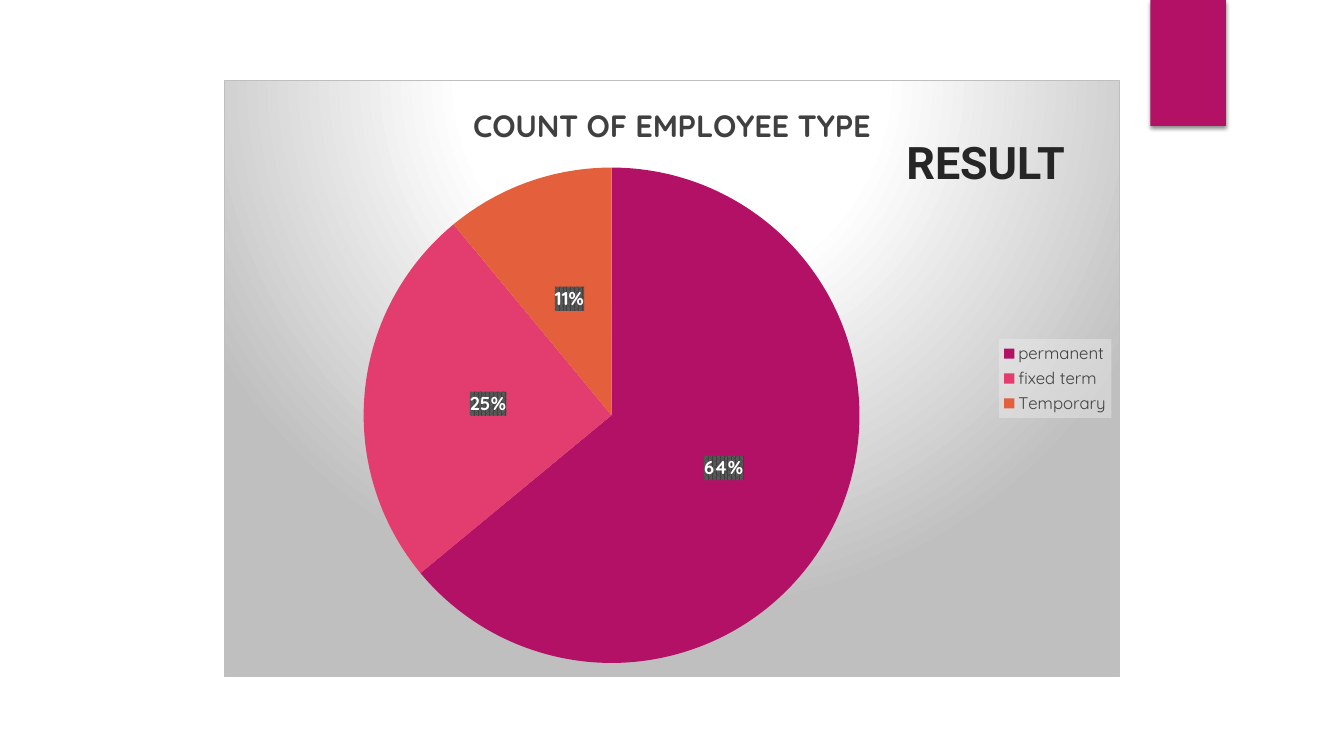
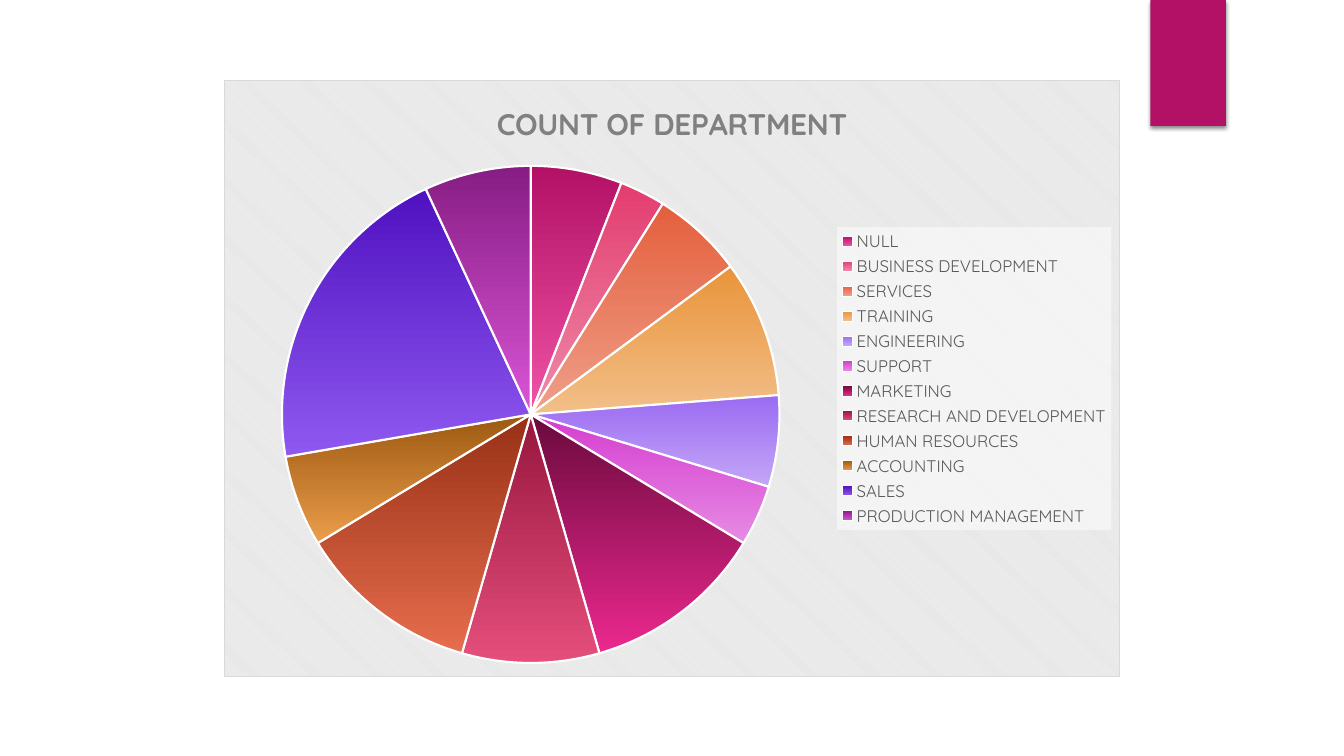
from lxml import etree
from pptx import Presentation
from pptx.chart.data import CategoryChartData
from pptx.dml.color import RGBColor
from pptx.enum.chart import XL_CHART_TYPE, XL_LABEL_POSITION, XL_LEGEND_POSITION
from pptx.enum.shapes import MSO_SHAPE
from pptx.enum.text import MSO_ANCHOR, MSO_AUTO_SIZE, PP_ALIGN
from pptx.oxml.ns import nsdecls, qn
from pptx.util import Inches, Pt

PIE = XL_CHART_TYPE.PIE
CENTER = XL_LABEL_POSITION.CENTER
RIGHT = XL_LEGEND_POSITION.RIGHT
RECTANGLE = MSO_SHAPE.RECTANGLE
TOP = MSO_ANCHOR.TOP
FIT_SHAPE = MSO_AUTO_SIZE.SHAPE_TO_FIT_TEXT
LEFT = PP_ALIGN.LEFT

# Shared style
CHART_FONT, TITLE_FONT = "Quicksand", "Roboto"
MAGENTA = RGBColor(0xB3, 0x11, 0x66)
ROSE = RGBColor(0xE3, 0x3D, 0x6F)
ORANGE = RGBColor(0xE4, 0x5F, 0x3C)
WHITE = RGBColor(0xFF, 0xFF, 0xFF)
BLACK = RGBColor(0x00, 0x00, 0x00)
INK = RGBColor(0x26, 0x26, 0x26)
CHARCOAL = RGBColor(0x40, 0x40, 0x40)
DARK_GRAY = RGBColor(0x59, 0x59, 0x59)
MID_GRAY = RGBColor(0x80, 0x80, 0x80)
SILVER = RGBColor(0xBF, 0xBF, 0xBF)
LIGHT_GRAY = RGBColor(0xD9, 0xD9, 0xD9)
PALE_GRAY = RGBColor(0xE6, 0xE6, 0xE6)
MIST = RGBColor(0xF2, 0xF2, 0xF2)
CHART_BOX = (Inches(2.22), Inches(0.79), Inches(8.89), Inches(5.93))

# Content: (category, count, slice colour or top and bottom colours)
EMPLOYEE_TYPES = [
    ("permanent", 64, MAGENTA),
    ("fixed term", 25, ROSE),
    ("Temporary", 11, ORANGE),
]
DEPARTMENTS = [
    ("NULL", 6, (MAGENTA, RGBColor(0xEF, 0x53, 0xA5))),
    ("BUSINESS DEVELOPMENT", 3, (ROSE, RGBColor(0xEE, 0x8B, 0xA9))),
    ("SERVICES", 6, (ORANGE, RGBColor(0xEF, 0x9F, 0x8A))),
    ("TRAINING", 9, (RGBColor(0xE9, 0x94, 0x3A), RGBColor(0xF2, 0xBF, 0x89))),
    ("ENGINEERING", 6, (RGBColor(0x9B, 0x6B, 0xF2), RGBColor(0xC3, 0xA6, 0xF7))),
    ("SUPPORT", 4, (RGBColor(0xD5, 0x3D, 0xD0), RGBColor(0xE6, 0x8B, 0xE3))),
    ("MARKETING", 12, (RGBColor(0x6B, 0x0A, 0x3D), RGBColor(0xEB, 0x28, 0x8E))),
    ("RESEARCH AND DEVELOPMENT", 9,
     (RGBColor(0x97, 0x16, 0x3D), RGBColor(0xE5, 0x4E, 0x7C))),
    ("HUMAN RESOURCES", 12, (RGBColor(0x98, 0x30, 0x15), RGBColor(0xE6, 0x6D, 0x4D))),
    ("ACCOUNTING", 6, (RGBColor(0x9D, 0x59, 0x12), RGBColor(0xEB, 0x9D, 0x4A))),
    ("SALES", 21, (RGBColor(0x4F, 0x11, 0xC0), RGBColor(0x8F, 0x59, 0xF0))),
    ("PRODUCTION MANAGEMENT", 7,
     (RGBColor(0x87, 0x1D, 0x84), RGBColor(0xDA, 0x55, 0xD6))),
]


# Fill markup for chart parts
def solid_fill(color, opacity=100):
    return (f'<a:solidFill><a:srgbClr val="{color}">'
            f'<a:alpha val="{opacity * 1000}"/></a:srgbClr></a:solidFill>')


def pattern_fill(preset, front, back):
    return (f'<a:pattFill prst="{preset}"><a:fgClr><a:srgbClr val="{front}"/></a:fgClr>'
            f'<a:bgClr><a:srgbClr val="{back}"/></a:bgClr></a:pattFill>')


def spotlight_fill(stops):
    marks = "".join(f'<a:gs pos="{position * 1000}"><a:srgbClr val="{color}"/></a:gs>'
                    for position, color in stops)
    return (f'<a:gradFill><a:gsLst>{marks}</a:gsLst><a:path path="circle">'
            '<a:fillToRect l="50000" t="-80000" r="50000" b="180000"/>'
            '</a:path></a:gradFill>')


def border_line(color):
    return f'<a:ln w="{Pt(0.75)}">{solid_fill(color)}</a:ln>'


def paint(element, markup):
    """Give a chart part its fill and border, just before its text properties."""
    properties = etree.fromstring(f'<c:spPr {nsdecls("c", "a")}>{markup}</c:spPr>')
    element.find(qn("c:txPr")).addprevious(properties)


def set_font(font, size, color, bold=False, name=CHART_FONT):
    font.name, font.size, font.bold = name, Pt(size), bold
    font.color.rgb = color


def add_band(presentation, slide):
    """Draw the corner band and hand it to the slide master."""
    band = slide.shapes.add_shape(RECTANGLE, Inches(11.41), 0, Inches(0.75), Inches(1.25))
    band.fill.solid()
    band.fill.fore_color.rgb = MAGENTA
    band.line.fill.background()
    band.shadow.inherit = False
    effects = band._element.spPr.find(qn("a:effectLst"))
    effects.append(etree.fromstring(
        f'<a:outerShdw {nsdecls("a")} blurRad="{Pt(3)}" dist="{Pt(2)}" dir="5400000" '
        f'rotWithShape="0"><a:srgbClr val="{BLACK}"><a:alpha val="45000"/>'
        '</a:srgbClr></a:outerShdw>'))
    presentation.slide_master.shapes._spTree.append(band._element)


def add_pie(slide, title, slices, title_size, title_color, legend_color,
            background, legend_fill):
    data = CategoryChartData()
    data.categories = [name for name, _, _ in slices]
    data.add_series(title, [count for _, count, _ in slices])
    chart = slide.shapes.add_chart(PIE, *CHART_BOX, data).chart
    set_font(chart.font, 10, BLACK)
    paint(chart._chartSpace, background)

    # Title and legend
    chart.has_title = True
    paragraph = chart.chart_title.text_frame.paragraphs[0]
    paragraph.text = title
    set_font(paragraph.font, title_size, title_color, bold=True)
    chart.chart_title.include_in_layout = False
    chart.has_legend = True
    chart.legend.position = RIGHT
    chart.legend.include_in_layout = False
    set_font(chart.legend.font, 12, legend_color)
    paint(chart.legend._element, legend_fill)

    # Slices
    plot = chart.plots[0]
    plot.vary_by_categories = True
    for index, (_, _, color) in enumerate(slices):
        look = plot.series[0].points[index].format
        if isinstance(color, RGBColor):
            look.fill.solid()
            look.fill.fore_color.rgb = color
            look.line.fill.background()
        else:
            look.fill.gradient()
            look.fill.gradient_angle = 270
            for stop, stop_color in zip(look.fill.gradient_stops, color):
                stop.color.rgb = stop_color
            look.line.color.rgb = WHITE
            look.line.width = Pt(1.5)
    return chart


def add_percent_labels(chart):
    labels = chart.plots[0].series[0].data_labels
    labels.show_value = False
    labels.show_percentage = True
    labels.number_format, labels.number_format_is_linked = "0%", False
    labels.position = CENTER
    set_font(labels.font, 13.3, WHITE, bold=True)
    paint(labels._element, pattern_fill("pct75", CHARCOAL, DARK_GRAY))


def place_title(slide, text):
    title = slide.shapes.title
    title.left, title.top = Inches(8.89), Inches(1.29)
    title.width, title.height = Inches(1.78), Inches(0.64)
    frame = title.text_frame
    frame.text = text
    frame.word_wrap = False
    frame.auto_size = FIT_SHAPE
    frame.vertical_anchor = TOP
    paragraph = frame.paragraphs[0]
    paragraph.alignment = LEFT
    set_font(paragraph.font, 32, INK, bold=True, name=TITLE_FONT)
    slide.shapes._spTree.append(title._element)  # bring in front of the chart


def main():
    presentation = Presentation()
    presentation.slide_width, presentation.slide_height = Inches(13.33), Inches(7.5)
    title_only, blank = presentation.slide_layouts[5], presentation.slide_layouts[6]

    # Slide 1: employee types
    slide = presentation.slides.add_slide(title_only)
    add_band(presentation, slide)
    chart = add_pie(
        slide, "COUNT OF EMPLOYEE TYPE", EMPLOYEE_TYPES, 22, CHARCOAL, CHARCOAL,
        spotlight_fill([(0, WHITE), (39, WHITE), (100, SILVER)]) + border_line(SILVER),
        solid_fill(MIST, 39))
    add_percent_labels(chart)
    place_title(slide, "RESULT")

    # Slide 2: departments
    slide = presentation.slides.add_slide(blank)
    add_pie(
        slide, "COUNT OF DEPARTMENT", DEPARTMENTS, 21.3, MID_GRAY, DARK_GRAY,
        pattern_fill("dkDnDiag", WHITE, PALE_GRAY) + border_line(LIGHT_GRAY),
        solid_fill(WHITE, 50))

    presentation.save("out.pptx")


if __name__ == "__main__":
    main()
